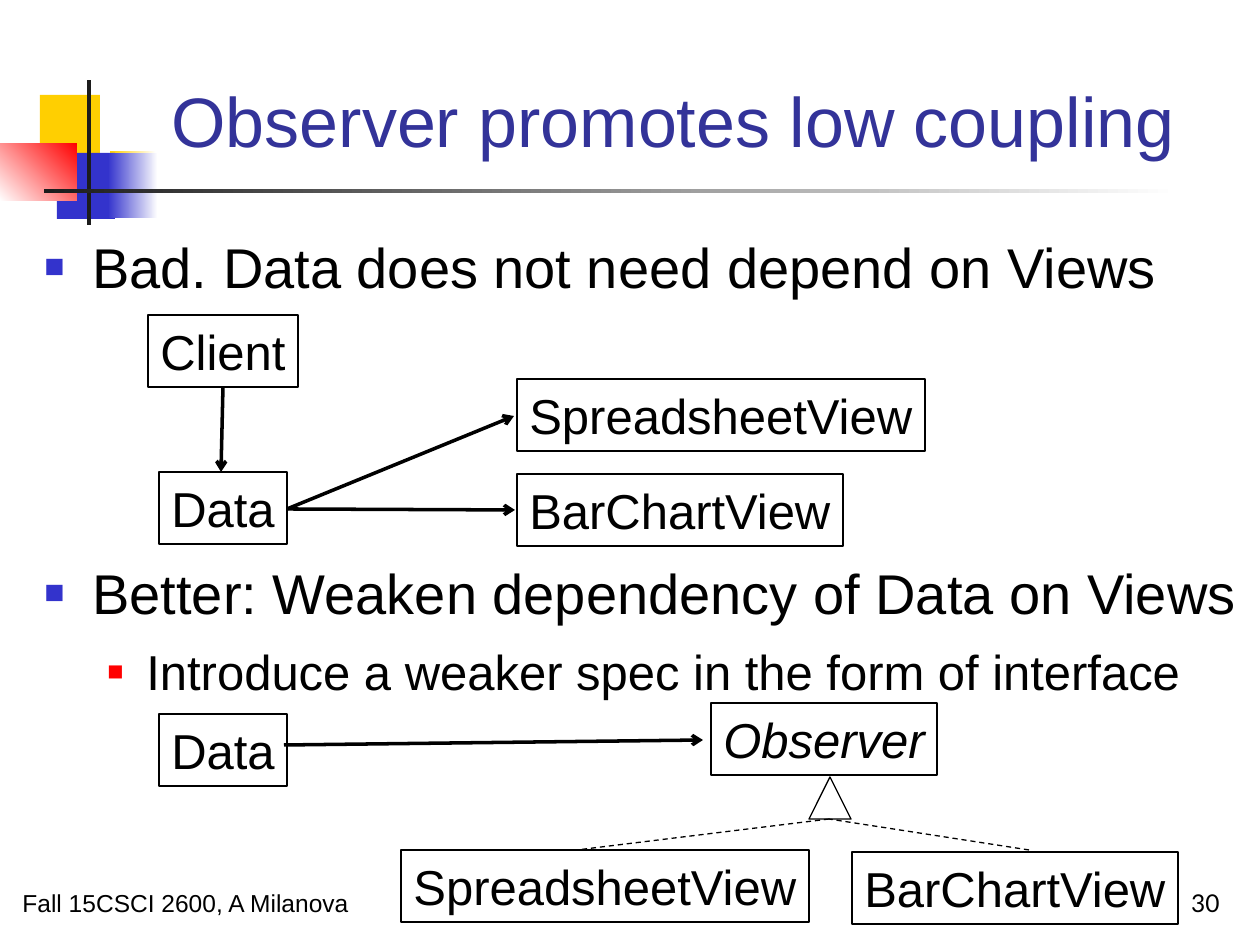
"""Build the slide on how Observer promotes low coupling."""
from lxml import etree
from pptx import Presentation
from pptx import util as u
from pptx.dml.color import RGBColor
from pptx.enum import dml, shapes, text
from pptx.oxml.ns import qn

PX = 914400 / 126
COLORS = {"yellow": "FFCF01", "blue": "3333CC", "red": "FF0000", "white": "FFFFFF",
          "dark": "1C1C1C", "title": "333399", "black": "000000"}

TITLE = "Observer promotes low coupling"
TITLE_PLACE = (159, 29, 1074, 139)
DECORATIONS = [
    ((40, 95, 60, 66), ("yellow",), 0),
    ((110, 151, 46, 66), ("white", "yellow"), 180),
    ((57, 153, 58, 66), ("blue",), 0),
    ((108, 153, 50, 65), ("white", "blue"), 180),
    ((0, 143, 77, 58), ("red", "white"), 135),
    ((87, 80, 4, 145), ("dark",), 0),
    ((44, 189, 1134, 4), ("white", "dark"), 180),
]
BODY_PLACE = (32, 226, 1228, 618)
BULLETS = [
    ("Bad. Data does not need depend on Views", 0, 0),
    ("Better: Weaken dependency of Data on Views", 0, 148),
    ("Introduce a weaker spec in the form of interface", 1, 9),
]
LEVELS = [
    {"size": 32, "margin": 48, "indent": -48, "color": "blue", "scale": 60},
    {"size": 28, "margin": 102, "indent": -39, "color": "red", "scale": 55},
]
FOOTERS = [
    ("Fall 15CSCI 2600, A Milanova", (10, 861, 651, 63), "Arial", text.PP_ALIGN.LEFT),
    ("30", (970, 861, 262, 63), "Lato", text.PP_ALIGN.RIGHT),
]
BOX_HEIGHT = 72
BOX_WIDTHS = {"Client": 150, "Data": 128, "Observer": 226,
              "SpreadsheetView": 408, "BarChartView": 326}
CLASS_BOXES = [
    ("Data", 159, 472), ("Client", 148, 315),
    ("SpreadsheetView", 517, 379), ("BarChartView", 517, 474),
    ("Data", 159, 714), ("Observer", 711, 703),
    ("SpreadsheetView", 401, 850), ("BarChartView", 852, 852),
]
TRIANGLE_PLACE = (809, 777, 42, 42)
ARROWS = [
    (223, 387, 221, 472), (287, 509, 514, 416),
    (287, 509, 515, 510), (284, 745, 703, 740),
]
DASHED_LINES = [(829, 819, 577, 850), (1029, 850, 829, 819)]


def px(values):
    return [u.Emu(round(value * PX)) for value in values]


def rgb(name):
    return RGBColor.from_string(COLORS[name])


def set_font(paragraph, size, name="Arial", color="black"):
    paragraph.font.size = u.Pt(size)
    paragraph.font.name = name
    paragraph.font.color.rgb = rgb(color)


def add_shape(slide, kind, place):
    shape = slide.shapes.add_shape(kind, *px(place))
    shape.shadow.inherit = False
    return shape


def add_decoration(slide, place, colors, angle):
    shape = add_shape(slide, shapes.MSO_SHAPE.RECTANGLE, place)
    shape.line.fill.background()
    if len(colors) == 1:
        shape.fill.solid()
        shape.fill.fore_color.rgb = rgb(colors[0])
        return
    shape.fill.gradient()
    shape.fill.gradient_angle = 360 - angle
    for stop, color in zip(shape.fill.gradient_stops, colors):
        stop.color.rgb = rgb(color)


def add_outline(slide, kind, place):
    shape = add_shape(slide, kind, place)
    shape.fill.background()
    shape.line.color.rgb = rgb("black")
    shape.line.width = u.Pt(0.75)
    return shape


def add_class_box(slide, name, left, top):
    place = (left, top, BOX_WIDTHS[name], BOX_HEIGHT)
    frame = add_outline(slide, shapes.MSO_SHAPE.RECTANGLE, place).text_frame
    frame.word_wrap = False
    frame.vertical_anchor = text.MSO_ANCHOR.TOP
    paragraph = frame.paragraphs[0]
    paragraph.text = name
    paragraph.alignment = text.PP_ALIGN.LEFT
    set_font(paragraph, 28)
    if name == "Observer":
        paragraph.font.italic = True


def add_line(slide, ends, width):
    line = slide.shapes.add_connector(shapes.MSO_CONNECTOR.STRAIGHT, *px(ends))
    line.line.color.rgb = rgb("black")
    line.line.width = u.Pt(width)
    etree.SubElement(line._element.spPr, qn("a:effectLst"))
    return line


def add_arrow(slide, ends):
    line = add_line(slide, ends, 2)
    etree.SubElement(line.line._get_or_add_ln(), qn("a:tailEnd"), type="arrow")


def add_bullet(paragraph, level):
    properties = paragraph._p.get_or_add_pPr()
    for key, length in zip(("marL", "indent"), px((level["margin"], level["indent"]))):
        properties.set(key, str(int(length)))
    color = etree.SubElement(properties, qn("a:buClr"))
    etree.SubElement(color, qn("a:srgbClr"), val=COLORS[level["color"]])
    etree.SubElement(properties, qn("a:buSzPct"), val=str(level["scale"] * 1000))
    etree.SubElement(properties, qn("a:buFont"), typeface="Arial")
    etree.SubElement(properties, qn("a:buChar"), char="■")


def add_text_box(slide, place):
    frame = slide.shapes.add_textbox(*px(place)).text_frame
    frame.word_wrap = True
    return frame


def add_body(slide):
    frame = add_text_box(slide, BODY_PLACE)
    for index, (words, depth, space) in enumerate(BULLETS):
        paragraph = frame.add_paragraph() if index else frame.paragraphs[0]
        paragraph.text = words
        paragraph.level = depth
        add_bullet(paragraph, LEVELS[depth])
        paragraph.space_before = u.Pt(space)
        set_font(paragraph, LEVELS[depth]["size"])


def add_footer(slide, words, place, font, alignment):
    frame = add_text_box(slide, place)
    frame.vertical_anchor = text.MSO_ANCHOR.BOTTOM
    paragraph = frame.paragraphs[0]
    paragraph.text = words
    paragraph.alignment = alignment
    set_font(paragraph, 14, font)


def format_title(slide):
    title = slide.shapes.title
    title.left, title.top, title.width, title.height = px(TITLE_PLACE)
    frame = title.text_frame
    frame.text = TITLE
    frame.word_wrap = True
    frame.auto_size = text.MSO_AUTO_SIZE.NONE
    frame.vertical_anchor = text.MSO_ANCHOR.BOTTOM
    frame.paragraphs[0].alignment = text.PP_ALIGN.LEFT
    set_font(frame.paragraphs[0], 40, color="title")


def main():
    presentation = Presentation()
    presentation.slide_width, presentation.slide_height = u.Inches(10), u.Inches(7.5)
    slide = presentation.slides.add_slide(presentation.slide_layouts[5])
    for decoration in DECORATIONS:
        add_decoration(slide, *decoration)
    format_title(slide)
    add_body(slide)
    for footer in FOOTERS:
        add_footer(slide, *footer)
    for box in CLASS_BOXES:
        add_class_box(slide, *box)
    add_outline(slide, shapes.MSO_SHAPE.ISOSCELES_TRIANGLE, TRIANGLE_PLACE)
    for ends in ARROWS:
        add_arrow(slide, ends)
    for ends in DASHED_LINES:
        add_line(slide, ends, 0.75).line.dash_style = dml.MSO_LINE.DASH
    presentation.save("out.pptx")


if __name__ == "__main__":
    main()
